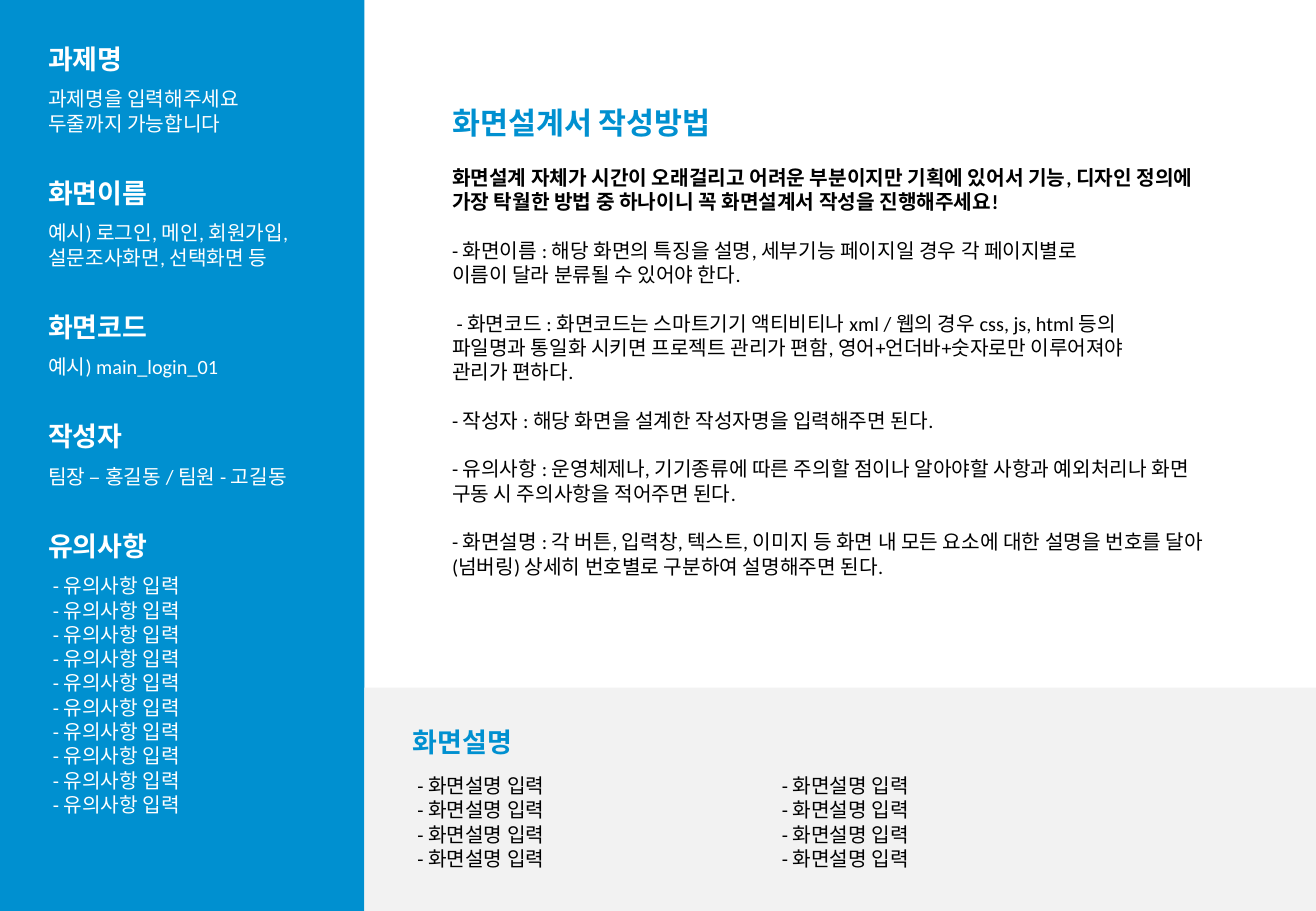
from pptx import Presentation
from pptx.dml.color import RGBColor
from pptx.enum.shapes import MSO_SHAPE
from pptx.enum.text import MSO_ANCHOR, MSO_AUTO_SIZE, PP_ALIGN
from pptx.util import Cm, Pt

FONT = "Calibri"
BLUE, GRAY, WHITE, BLACK = "0090D0", "F2F2F2", "FFFFFF", "000000"
SLIDE_WIDTH, SLIDE_HEIGHT = 27.51, 19.05
SIDEBAR_WIDTH, FOOTER_TOP = 7.62, 14.38
MARGIN = 0.76
LINE_HEIGHT = 0.51
BODY_SIZE = 12

# Sidebar: heading and its lines
SECTIONS = [
    ("과제명", ["과제명을 입력해주세요", "두줄까지 가능합니다"]),
    ("화면이름", ["예시) 로그인, 메인, 회원가입,", "설문조사화면, 선택화면 등"]),
    ("화면코드", ["예시) main_login_01"]),
    ("작성자", ["팀장 – 홍길동 / 팀원 - 고길동"]),
    ("유의사항", [" - 유의사항 입력"] * 10),
]

# Guide: one list of lines for each topic
GUIDE = [
    ["화면설계 자체가 시간이 오래걸리고 어려운 부분이지만 기획에 있어서 기능, 디자인 정의에 "
     "가장 탁월한 방법 중 하나이니 꼭 화면설계서 작성을 진행해주세요!"],
    ["- 화면이름 : 해당 화면의 특징을 설명, 세부기능 페이지일 경우 각 페이지별로",
     "이름이 달라 분류될 수 있어야 한다."],
    [" - 화면코드 : 화면코드는 스마트기기 액티비티나 xml / 웹의 경우 css, js, html 등의",
     "파일명과 통일화 시키면 프로젝트 관리가 편함, 영어+언더바+숫자로만 이루어져야",
     "관리가 편하다."],
    ["- 작성자 : 해당 화면을 설계한 작성자명을 입력해주면 된다."],
    ["- 유의사항 : 운영체제나, 기기종류에 따른 주의할 점이나 알아야할 사항과 예외처리나 화면 "
     "구동 시 주의사항을 적어주면 된다."],
    ["- 화면설명 : 각 버튼, 입력창, 텍스트, 이미지 등 화면 내 모든 요소에 대한 설명을 번호를 "
     "달아(넘버링) 상세히 번호별로 구분하여 설명해주면 된다."],
]


def color(value):
    return RGBColor.from_string(value)


def place(shape, left, top, width, height):
    shape.left, shape.top = Cm(left), Cm(top)
    shape.width, shape.height = Cm(width), Cm(height)


def format_paragraph(paragraph, size, text_color, bold=False):
    paragraph.alignment = PP_ALIGN.LEFT
    for run in paragraph.runs:
        run.font.name = FONT
        run.font.size = Pt(size)
        run.font.bold = bold
        run.font.color.rgb = color(text_color)


def fill_text(shape, lines, size, text_color, bold=False, wrap=True):
    frame = shape.text_frame
    frame.text = "\n".join(lines)
    frame.word_wrap = wrap
    frame.auto_size = MSO_AUTO_SIZE.NONE
    frame.vertical_anchor = MSO_ANCHOR.TOP
    for paragraph in frame.paragraphs:
        format_paragraph(paragraph, size, text_color, bold)
    return frame


def add_panel(slide, left, top, width, height, fill):
    panel = slide.shapes.add_shape(
        MSO_SHAPE.RECTANGLE, Cm(left), Cm(top), Cm(width), Cm(height))
    panel.shadow.inherit = False
    panel.fill.solid()
    panel.fill.fore_color.rgb = color(fill)
    panel.line.fill.background()


def add_heading(slide, left, top, text, text_color):
    width = 0.56 * (len(text) + 1)
    box = slide.shapes.add_textbox(Cm(left), Cm(top), Cm(width), Cm(0.94))
    fill_text(box, [text], 16, text_color, bold=True, wrap=False)


def add_body(slide, left, top, width, lines, text_color):
    height = 0.25 + LINE_HEIGHT * len(lines)
    box = slide.shapes.add_textbox(Cm(left), Cm(top), Cm(width), Cm(height))
    fill_text(box, lines, BODY_SIZE, text_color)


def add_sidebar(slide):
    add_panel(slide, 0, 0, SIDEBAR_WIDTH, SLIDE_HEIGHT, BLUE)
    top = MARGIN
    for heading, lines in SECTIONS:
        add_heading(slide, MARGIN, top, heading, WHITE)
        add_body(slide, MARGIN, top + 0.93, 6.02, lines, WHITE)
        top += 1.78 + LINE_HEIGHT * len(lines)


def add_footer(slide):
    add_panel(slide, SIDEBAR_WIDTH, FOOTER_TOP, SLIDE_WIDTH - SIDEBAR_WIDTH,
              SLIDE_HEIGHT - FOOTER_TOP, GRAY)
    left = SIDEBAR_WIDTH + MARGIN
    add_heading(slide, left, 15.04, "화면설명", BLUE)
    for column in range(2):
        add_body(slide, left + column * 7.62, 16.05, 6.86,
                 [" - 화면설명 입력"] * 4, BLACK)


def add_guide(slide):
    left = 9.2
    title = slide.shapes.title
    place(title, left, 2.06, 6.43, 1.02)
    fill_text(title, ["화면설계서 작성방법"], 18, BLUE, bold=True, wrap=False)

    box = slide.shapes.add_textbox(Cm(left), Cm(3.33), Cm(16.76), Cm(8.97))
    lines = [line for topic in GUIDE for line in topic]
    paragraphs = fill_text(box, lines, BODY_SIZE, BLACK).paragraphs
    format_paragraph(paragraphs[0], BODY_SIZE, BLACK, bold=True)

    # One empty line's height between topics
    index = 0
    for topic in GUIDE[:-1]:
        index += len(topic)
        paragraphs[index].space_before = Pt(14.4)


def main():
    presentation = Presentation()
    presentation.slide_width = Cm(SLIDE_WIDTH)
    presentation.slide_height = Cm(SLIDE_HEIGHT)
    slide = presentation.slides.add_slide(presentation.slide_layouts[5])
    add_sidebar(slide)
    add_footer(slide)
    add_guide(slide)
    presentation.save("out.pptx")


main()
